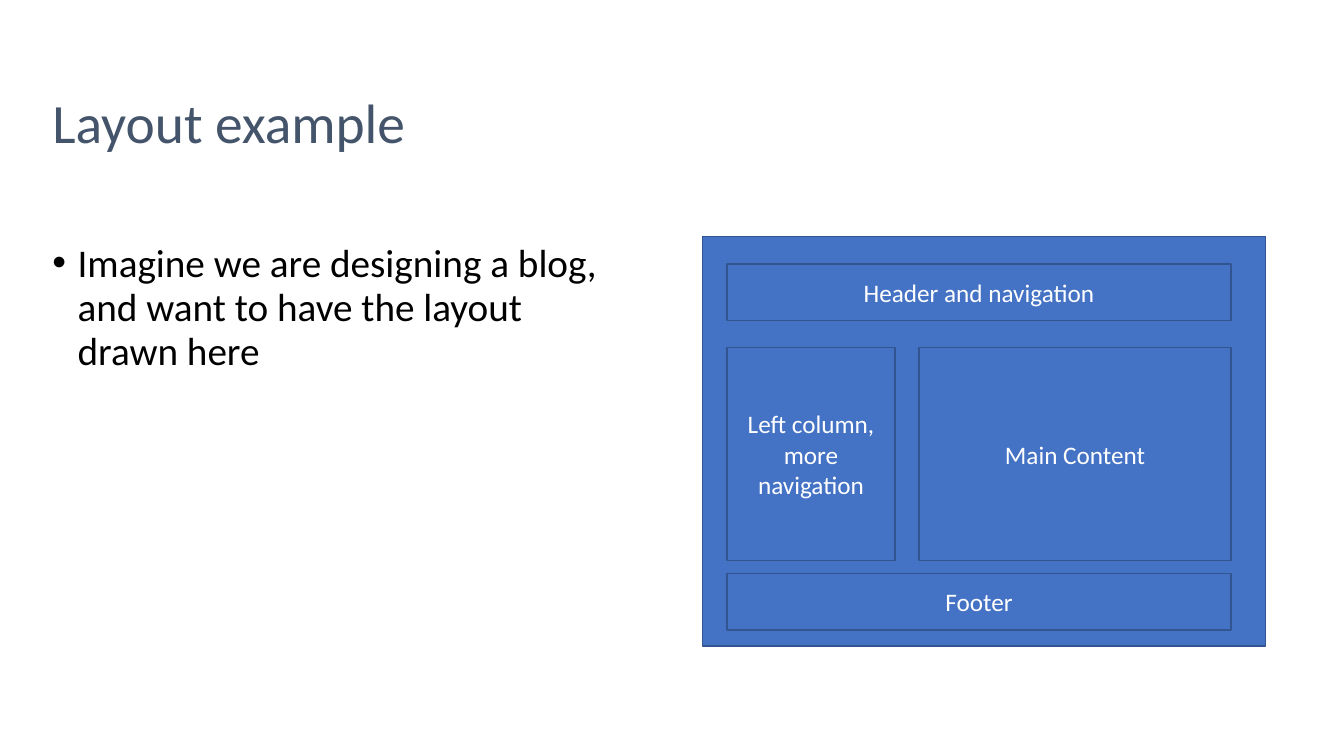
from dataclasses import dataclass
from lxml.etree import SubElement
from pptx import Presentation
from pptx.dml.color import RGBColor
from pptx.enum.shapes import MSO_SHAPE as Form
from pptx.enum.text import MSO_ANCHOR as Anchor, MSO_AUTO_SIZE as Fit, PP_ALIGN as Align
from pptx.oxml.ns import qn
from pptx.shapes.base import BaseShape
from pptx.slide import Slide
from pptx.text.text import TextFrame
from pptx.util import Inches, Pt

WHITE = RGBColor(0xFF, 0xFF, 0xFF)
BLACK = RGBColor(0, 0, 0)
SLATE = RGBColor(0x44, 0x54, 0x6A)
BLUE = RGBColor(0x44, 0x72, 0xC4)
NAVY = RGBColor(0x32, 0x54, 0x91)
FONT = "Calibri"
WIDTH, HEIGHT = Inches(13.33), Inches(7.5)

LEFT, WIDE = 54.09, 37.51
COL = WIDE / 21
BAR = 7.47
MID, TALL = 46, 28.13


@dataclass(frozen=True)
class Box:
    left: float
    top: float
    width: float
    height: float
    text: str = ""


TITLE = Box(3.15, 12.93, 86.27, 7.33, "Layout example")
BODY = Box(3.15, 31.33, 42.76, 54,
           "Imagine we are designing a blog, and want to have the layout drawn here")
PANELS = [
    Box(52.29, 31.33, 41.86, 54.13),
    Box(LEFT, 34.93, WIDE, BAR, "Header and navigation"),
    Box(LEFT, MID, 7 * COL, TALL, "Left column, more navigation"),
    Box(LEFT + 8 * COL, MID, 13 * COL, TALL, "Main Content"),
    Box(LEFT, 75.87, WIDE, BAR, "Footer"),
]


def place(shape: BaseShape, box: Box) -> None:
    shape.left = round(WIDTH * box.left / 100)
    shape.top = round(HEIGHT * box.top / 100)
    shape.width = round(WIDTH * box.width / 100)
    shape.height = round(HEIGHT * box.height / 100)


def write(frame: TextFrame, text: str, size: float, color: RGBColor,
          align: Align, anchor: Anchor) -> None:
    frame.text = text
    frame.word_wrap = True
    frame.auto_size = Fit.NONE
    frame.vertical_anchor = anchor
    line = frame.paragraphs[0]
    line.alignment = align
    for run in line.runs:
        run.font.name = FONT
        run.font.size = Pt(size)
        run.font.color.rgb = color


def fill_title(slide: Slide) -> None:
    shape = slide.shapes.title
    place(shape, TITLE)
    write(shape.text_frame, TITLE.text, 39.6, SLATE, Align.LEFT, Anchor.MIDDLE)
    shape.text_frame.paragraphs[0].line_spacing = 0.9


def fill_body(slide: Slide) -> None:
    shape = slide.placeholders[1]
    place(shape, BODY)
    write(shape.text_frame, BODY.text, 28, BLACK, Align.LEFT, Anchor.TOP)
    line = shape.text_frame.paragraphs[0]
    line.line_spacing = Pt(31.2)
    line.space_before = Pt(10)
    props = line._p.get_or_add_pPr()
    props.set("marL", str(Inches(0.25)))
    props.set("indent", str(-Inches(0.25)))
    SubElement(props, qn("a:buFont"), typeface="Arial")
    SubElement(props, qn("a:buChar"), char="•")


def draw_panel(slide: Slide, box: Box) -> None:
    shape = slide.shapes.add_shape(Form.RECTANGLE, 0, 0, 0, 0)
    place(shape, box)
    shape.shadow.inherit = False
    shape.fill.solid()
    shape.fill.fore_color.rgb = BLUE
    shape.line.color.rgb = NAVY
    shape.line.width = Pt(1)
    if box.text:
        write(shape.text_frame, box.text, 18, WHITE, Align.CENTER, Anchor.MIDDLE)


def main() -> None:
    deck = Presentation()
    deck.slide_width, deck.slide_height = WIDTH, HEIGHT
    slide = deck.slides.add_slide(deck.slide_layouts[1])
    fill_title(slide)
    fill_body(slide)
    for box in PANELS:
        draw_panel(slide, box)
    deck.save("out.pptx")


if __name__ == "__main__":
    main()
